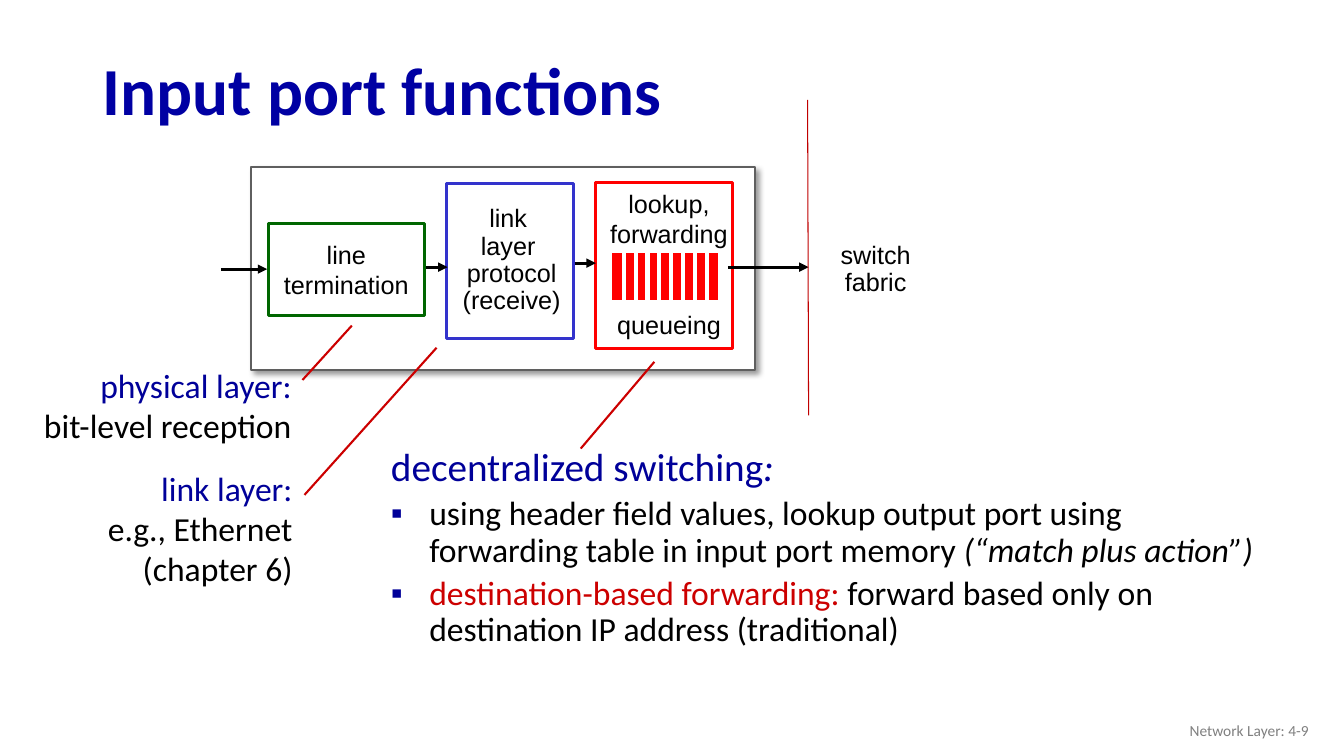
"""Build the slide on router input port functions."""
from dataclasses import dataclass

from lxml import etree
from pptx import Presentation, util as u
from pptx.dml.color import RGBColor
from pptx.enum import shapes, text
from pptx.oxml import ns


@dataclass(frozen=True)
class Theme:
    title: str = "0000A3"
    navy: str = "000099"
    red: str = "CC0000"
    edge: str = "C00000"
    black: str = "000000"
    white: str = "FFFFFF"
    grey: str = "808080"
    frame: str = "5F5F5F"
    green: str = "006600"
    blue: str = "3333CC"
    queue: str = "FF0000"
    heading: int = 48
    lead: int = 28
    body: int = 24
    label: int = 18
    footer: int = 11
    sans: str = "Calibri"
    diagram: str = "Arial"


THEME = Theme()
CELL = u.Inches(1)
COLUMNS, ROWS = 13.33, 7.5

TITLE = "Input port functions"
FOOTER = "Network Layer: 4-9"
FRAME = (2.49, 1.66, 5, 2.01)
STAGES = [
    ((2.66, 2.22, 1.55, 0.91), THEME.green),
    ((4.43, 1.82, 1.26, 1.54), THEME.blue),
    ((5.91, 1.81, 1.36, 1.65), THEME.queue),
]
STAGE_LABELS = [
    ((2.66, 2.22, 1.55, 0.91), ["line", "termination"], 1),
    ((4.5, 2.13, 1.15, 0.91), ["link ", "layer ", "protocol", "(receive)"], 0.9),
    ((8.11, 2.22, 1.15, 0.91), ["switch", "fabric"], 0.9),
]
LOOKUP_AREA = (5.95, 1.82, 1.37, 1.6)
LOOKUP = ["lookup,", "forwarding", "queueing"]
QUEUE = (6.05, 2.49, 1.09, 0.51)
PACKETS = 9
ARROWS = [
    (2.19, 2.67, 2.65, 2.67),
    (4.23, 2.65, 4.44, 2.65),
    (5.7, 2.61, 5.91, 2.61),
    (7.22, 2.65, 8.02, 2.65),
]
FABRIC_EDGE = (8.01, 0.99, 8.02, 4.12)
POINTERS = [
    (3, 3.77, 3.49, 3.23),
    (3.02, 4.91, 4.33, 3.45),
    (5.76, 4.45, 6.49, 3.59),
]
LAYERS = [
    ((0.28, 3.57, 2.71, 0.91), ["physical layer:", "bit-level reception"]),
    ((0.95, 4.59, 2.05, 1.31), ["link layer:", "e.g., Ethernet", "(chapter 6)"]),
]
SWITCHING_AREA = (3.78, 4.39, 8.96, 2.92)
SWITCHING = [
    [("decentralized switching", {}), (":", {"italic": True})],
    [("using header field values, lookup output port using forwarding table "
      "in input port memory ", {}),
     ("(“match plus action”)", {"italic": True})],
    [("destination-based forwarding: ", {"color": THEME.red}),
     ("forward based only on destination IP address (traditional)", {})],
]


def grid(*cells):
    return [int(CELL * cell) for cell in cells]


def rgb(color):
    return RGBColor.from_string(color)


def child(parent, tag, **attributes):
    return etree.SubElement(parent, ns.qn(tag), attributes)


def write(para, content, *, size, color=THEME.black, font=THEME.sans, bold=False,
          align=text.PP_ALIGN.LEFT, spacing=1, before=0, bullet=None):
    """Fill a paragraph with one string or with (text, changes) pairs."""
    para.alignment = align
    para.line_spacing = spacing
    para.space_before = u.Pt(before)
    if bullet:
        props = para._p.get_or_add_pPr()
        indent = int(CELL * 0.38)
        props.set("marL", str(indent))
        props.set("indent", str(-indent))
        child(child(props, "a:buClr"), "a:srgbClr", val=THEME.navy)
        child(props, "a:buFont", typeface=THEME.diagram)
        child(props, "a:buChar", char=bullet)
    pairs = [(content, {})] if isinstance(content, str) else content
    for words, changes in pairs:
        span = para.add_run()
        span.text = words
        span.font.name = font
        span.font.size = u.Pt(size)
        span.font.bold = bold
        span.font.italic = changes.get("italic", False)
        span.font.color.rgb = rgb(changes.get("color", color))


def add_text(page, area, contents, formats, wrap=False, inset=0.1,
             anchor=text.MSO_ANCHOR.TOP):
    box = page.shapes.add_textbox(*grid(*area))
    frame = box.text_frame
    frame.word_wrap = wrap
    frame.vertical_anchor = anchor
    frame.margin_left, frame.margin_right = grid(inset, inset)
    for index, (content, style) in enumerate(zip(contents, formats)):
        para = frame.add_paragraph() if index else frame.paragraphs[0]
        write(para, content, **style)


def add_box(host, area, fill, line, width):
    box = host.shapes.add_shape(shapes.MSO_SHAPE.RECTANGLE, *grid(*area))
    box.shadow.inherit = False
    box.fill.solid()
    box.fill.fore_color.rgb = rgb(fill)
    box.line.color.rgb = rgb(line)
    box.line.width = u.Pt(width)
    return box


def add_line(host, ends, color, width, arrow=False):
    line = host.shapes.add_connector(shapes.MSO_CONNECTOR.STRAIGHT, *grid(*ends))
    line.line.color.rgb = rgb(color)
    line.line.width = u.Pt(width)
    if arrow:
        child(line.line._get_or_add_ln(), "a:tailEnd", type="triangle")
    child(line._element.spPr, "a:effectLst")


def add_frame(page):
    frame = add_box(page, FRAME, THEME.white, THEME.frame, 1.5)
    effects = frame._element.spPr.find(ns.qn("a:effectLst"))
    shadow = child(effects, "a:outerShdw", blurRad=str(u.Pt(4)), dist=str(u.Pt(3)),
                   dir=str(45 * 60000), algn="tl", rotWithShape="0")
    child(child(shadow, "a:srgbClr", val=THEME.black), "a:alpha", val="40000")


def add_queue(page):
    group = page.shapes.add_group_shape()
    add_box(group, QUEUE, THEME.queue, THEME.white, 3)
    left, top, width, height = QUEUE
    pitch = width / PACKETS * 0.97
    for index in range(1, PACKETS):
        x = left + 0.02 + index * pitch
        add_line(group, (x, top, x, top + height), THEME.white, 3)


def main():
    deck = Presentation()
    deck.slide_width, deck.slide_height = grid(COLUMNS, ROWS)
    page = deck.slides.add_slide(deck.slide_layouts[5])
    middle = text.MSO_ANCHOR.MIDDLE
    center, right = text.PP_ALIGN.CENTER, text.PP_ALIGN.RIGHT

    title = page.shapes.title
    title.left, title.top, title.width, title.height = grid(0.92, 0.44, 11.5, 0.98)
    title.text_frame.vertical_anchor = middle
    write(title.text_frame.paragraphs[0], TITLE, size=THEME.heading,
          color=THEME.title, bold=True, spacing=0.9)

    add_frame(page)
    for area, color in STAGES:
        add_box(page, area, THEME.white, color, 2.25)
    label = {"size": THEME.label, "font": THEME.diagram, "align": center}
    for area, lines, spacing in STAGE_LABELS:
        add_text(page, area, lines, [{**label, "spacing": spacing}] * len(lines),
                 inset=0, anchor=middle)
    add_text(page, LOOKUP_AREA, LOOKUP, [label, label, {**label, "before": 43}])
    add_queue(page)
    for ends in ARROWS:
        add_line(page, ends, THEME.black, 2.25, arrow=True)
    add_line(page, FABRIC_EDGE, THEME.edge, 0.75)
    for ends in POINTERS:
        add_line(page, ends, THEME.red, 1.5)

    layer = {"size": THEME.body, "align": right}
    for area, lines in LAYERS:
        add_text(page, area, lines,
                 [{**layer, "color": THEME.navy}] + [layer] * (len(lines) - 1))
    lead = {"size": THEME.lead, "color": THEME.navy, "spacing": 0.9}
    point = {"size": THEME.body, "spacing": 0.9, "before": 5, "bullet": "▪"}
    add_text(page, SWITCHING_AREA, SWITCHING, [lead, point, point], wrap=True)
    add_text(page, (10.08, 7.05, 3, 0.4), [FOOTER],
             [{"size": THEME.footer, "color": THEME.grey, "align": right}],
             wrap=True, anchor=middle)
    deck.save("out.pptx")


if __name__ == "__main__":
    main()
